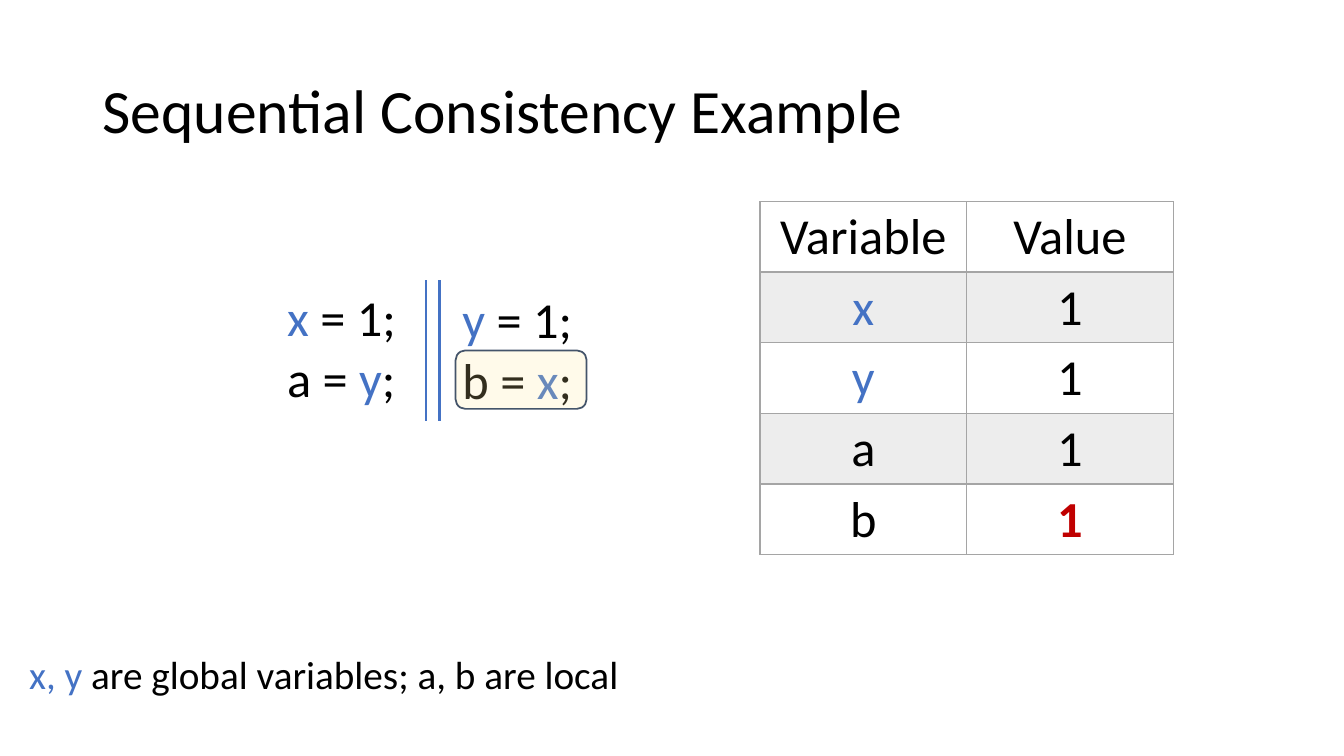
from lxml import etree
from pptx import Presentation
from pptx.dml.color import RGBColor
from pptx.enum.shapes import MSO_CONNECTOR, MSO_SHAPE
from pptx.enum.text import MSO_ANCHOR, PP_ALIGN
from pptx.oxml.ns import qn
from pptx.util import Pt

COLORS = {
    "text": "000000", "global": "4472C4", "result": "C00000",
    "grid": "A5A5A5", "band": "EDEDED",
    "highlight": "FFE699", "highlight_line": "44546A",
}
FONT = "Calibri"

# Content: each paragraph is a list of (text, color name) runs
TITLE = [[("Sequential Consistency Example", "text")]]
THREADS = [
    [[("x", "global"), (" = 1;", "text")],
     [("a = ", "text"), ("y", "global"), (";", "text")]],
    [[("y", "global"), (" = 1;", "text")],
     [("b = ", "text"), ("x", "global"), (";", "text")]],
]
NOTE = [[("x, y", "global"), (" are global variables; a, b are local", "text")]]
VARIABLES = [
    [("Variable", "text"), ("Value", "text")],
    [("x", "global"), ("1", "text")],
    [("y", "global"), ("1", "text")],
    [("a", "text"), ("1", "text")],
    [("b", "text"), ("1", "result")],
]

# Layout: left, top, width, height in points
TITLE_BOX = (66.24, 28.8, 828, 104.4)
THREAD_BOXES = [(198, 200.88, 94, 94.3), (323.28, 202.32, 94, 94.3)]
NOTE_BOX = (13.68, 465.12, 529.2, 38.16)
HIGHLIGHT_BOX = (325.44, 250.3, 93.6, 41.76)
BAR_XS, BAR_TOP, BAR_BOTTOM = (304.56, 313.92), 200.16, 300.96
TABLE_LEFT, TABLE_TOP, COLUMN_WIDTH, ROW_HEIGHT = 542.88, 144, 147.6, 50.4


def rgb(name):
    return RGBColor.from_string(COLORS[name])


def points(*values):
    return [Pt(value) for value in values]


def apply(target, formats):
    for key, value in formats.items():
        setattr(target, key, value)


def write(frame, paragraphs, size, formats):
    for index, runs in enumerate(paragraphs):
        paragraph = frame.paragraphs[0] if index == 0 else frame.add_paragraph()
        apply(paragraph, formats)
        for text, color in runs:
            run = paragraph.add_run()
            run.text = text
            apply(run.font, {"name": FONT, "size": Pt(size), "bold": color == "result"})
            run.font.color.rgb = rgb(color)


def add_text(box, paragraphs, size, anchor=MSO_ANCHOR.TOP, **formats):
    frame = slide.shapes.add_textbox(*points(*box)).text_frame
    apply(frame, {"word_wrap": True, "vertical_anchor": anchor})
    write(frame, paragraphs, size, formats)


def add_border(cell, side, width):
    properties = cell._tc.get_or_add_tcPr()
    line = etree.SubElement(properties, qn("a:" + side), w=str(Pt(width)))
    fill = etree.SubElement(line, qn("a:solidFill"))
    etree.SubElement(fill, qn("a:srgbClr"), val=COLORS["grid"])


presentation = Presentation()
apply(presentation, {"slide_width": Pt(960), "slide_height": Pt(540)})
slide = presentation.slides.add_slide(presentation.slide_layouts[6])

# Title, threads and note
add_text(TITLE_BOX, TITLE, 44, MSO_ANCHOR.MIDDLE, line_spacing=0.9)
for thread_box, statements in zip(THREAD_BOXES, THREADS):
    add_text(thread_box, statements, 36)
add_text(NOTE_BOX, NOTE, 28, line_spacing=0.9, space_before=Pt(10))

# Double bar between the threads
for x in BAR_XS:
    bar = slide.shapes.add_connector(
        MSO_CONNECTOR.STRAIGHT, *points(x, BAR_TOP, x, BAR_BOTTOM))
    bar.line.width = Pt(1.5)
    bar.line.color.rgb = rgb("global")
    etree.SubElement(bar._element.spPr, qn("a:effectLst"))

# Table of variable values
row_count, column_count = len(VARIABLES), len(VARIABLES[0])
values = slide.shapes.add_table(row_count, column_count, *points(
    TABLE_LEFT, TABLE_TOP, column_count * COLUMN_WIDTH, row_count * ROW_HEIGHT)).table
apply(values, {"first_row": False, "horz_banding": False})
for column in values.columns:
    column.width = Pt(COLUMN_WIDTH)
for row_index, entries in enumerate(VARIABLES):
    values.rows[row_index].height = Pt(ROW_HEIGHT)
    for column_index, entry in enumerate(entries):
        cell = values.cell(row_index, column_index)
        write(cell.text_frame, [[entry]], 36, {"alignment": PP_ALIGN.CENTER})
        for side in ("lnL", "lnR", "lnT", "lnB"):
            under_header = (row_index, side) in ((0, "lnB"), (1, "lnT"))
            add_border(cell, side, 2 if under_header else 1)
        if row_index % 2:
            cell.fill.solid()
            cell.fill.fore_color.rgb = rgb("band")
        else:
            cell.fill.background()

# Translucent highlight on the current statement
highlight = slide.shapes.add_shape(MSO_SHAPE.ROUNDED_RECTANGLE, *points(*HIGHLIGHT_BOX))
highlight.shadow.inherit = False
highlight.fill.solid()
highlight.fill.fore_color.rgb = rgb("highlight")
tint = highlight._element.spPr.find(qn("a:solidFill")).find(qn("a:srgbClr"))
etree.SubElement(tint, qn("a:alpha"), val="20000")
highlight.line.width = Pt(1.25)
highlight.line.color.rgb = rgb("highlight_line")

presentation.save("out.pptx")
